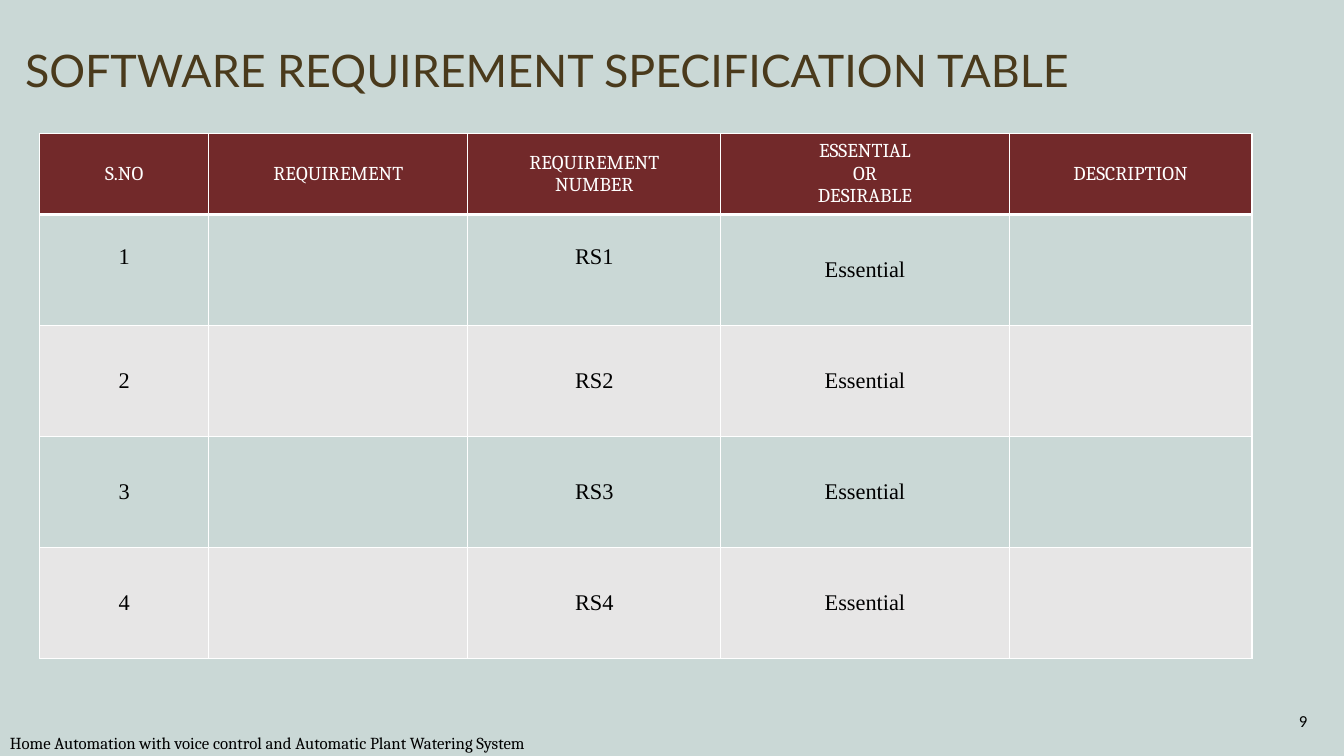
from lxml.etree import SubElement
from pptx import Presentation
from pptx.dml.color import RGBColor
from pptx.enum.text import MSO_ANCHOR, PP_ALIGN
from pptx.oxml.ns import qn
from pptx.util import Pt

BACKGROUND = "CAD8D6"
BAND = "E7E6E6"
MAROON = "72292A"
BROWN = "4A3A1C"
WHITE = "FFFFFF"
BLACK = "000000"

HEADERS = ["S.NO", "REQUIREMENT", "REQUIREMENT\nNUMBER",
           "ESSENTIAL\nOR\nDESIRABLE", "DESCRIPTION"]
COLUMN_WIDTHS = [121, 185, 180.7, 206, 173.5]
HEADER_HEIGHT = 47.5
ROW_HEIGHT = 79.3
REQUIREMENT_COUNT = 4


def rgb(color):
    return RGBColor.from_string(color)


def write_text(tf, text, size, font, color, align):
    tf.text = text
    for p in tf.paragraphs:
        p.alignment = align
        p.font.size = Pt(size)
        p.font.name = font
        p.font.color.rgb = rgb(color)


def add_text(s, box, text, size, font, color=BLACK, align=PP_ALIGN.LEFT):
    tf = s.shapes.add_textbox(*[Pt(v) for v in box]).text_frame
    tf.word_wrap = True
    tf.vertical_anchor = MSO_ANCHOR.MIDDLE
    write_text(tf, text, size, font, color, align)
    return tf


def set_borders(cell, top=1, bottom=1):
    tcPr = cell._tc.get_or_add_tcPr()
    sides = [("a:lnL", 1), ("a:lnR", 1), ("a:lnT", top), ("a:lnB", bottom)]
    for i, (tag, width) in enumerate(sides):
        ln = SubElement(tcPr, qn(tag), w=str(Pt(width)))
        fill = SubElement(ln, qn("a:solidFill"))
        SubElement(fill, qn("a:srgbClr"), val=WHITE)
        tcPr.insert(i, ln)


def fill_cell(cell, text, size, font, color, background):
    cell.fill.solid()
    cell.fill.fore_color.rgb = rgb(background)
    cell.vertical_anchor = MSO_ANCHOR.MIDDLE
    write_text(cell.text_frame, text, size, font, color, PP_ALIGN.CENTER)


def add_requirements_table(s):
    height = HEADER_HEIGHT + REQUIREMENT_COUNT * ROW_HEIGHT
    table = s.shapes.add_table(
        REQUIREMENT_COUNT + 1, len(HEADERS), Pt(28.2), Pt(95.5),
        Pt(sum(COLUMN_WIDTHS)), Pt(height)).table
    for column, width in zip(table.columns, COLUMN_WIDTHS):
        column.width = Pt(width)

    table.rows[0].height = Pt(HEADER_HEIGHT)
    for c, header in enumerate(HEADERS):
        cell = table.cell(0, c)
        fill_cell(cell, header, 14, "Cambria", WHITE, MAROON)
        set_borders(cell, bottom=3)

    for n in range(1, REQUIREMENT_COUNT + 1):
        table.rows[n].height = Pt(ROW_HEIGHT)
        background = BACKGROUND if n % 2 else BAND
        for c, text in enumerate([str(n), "", f"RS{n}", "Essential", ""]):
            cell = table.cell(n, c)
            fill_cell(cell, text, 16, "Times New Roman", BLACK, background)
            set_borders(cell, top=3 if n == 1 else 1)

    for c in (0, 2):
        table.cell(1, c).margin_bottom = Pt(22)


def main():
    prs = Presentation()
    prs.slide_width, prs.slide_height = Pt(960), Pt(540)
    s = prs.slides.add_slide(prs.slide_layouts[6])
    s.background.fill.solid()
    s.background.fill.fore_color.rgb = rgb(BACKGROUND)

    title = add_text(s, (-23, 0, 828, 104.4),
                     "SOFTWARE REQUIREMENT SPECIFICATION TABLE",
                     32, "Lato", BROWN, PP_ALIGN.CENTER)
    title.paragraphs[0].line_spacing = 0.9
    add_requirements_table(s)
    add_text(s, (0, 516.2, 434.9, 28.8),
             "Home Automation with voice control and Automatic Plant Watering System",
             12, "Cambria")
    add_text(s, (725, 500.4, 216, 28.8), "9", 12, "Calibri",
             align=PP_ALIGN.RIGHT)
    prs.save("out.pptx")


if __name__ == "__main__":
    main()
